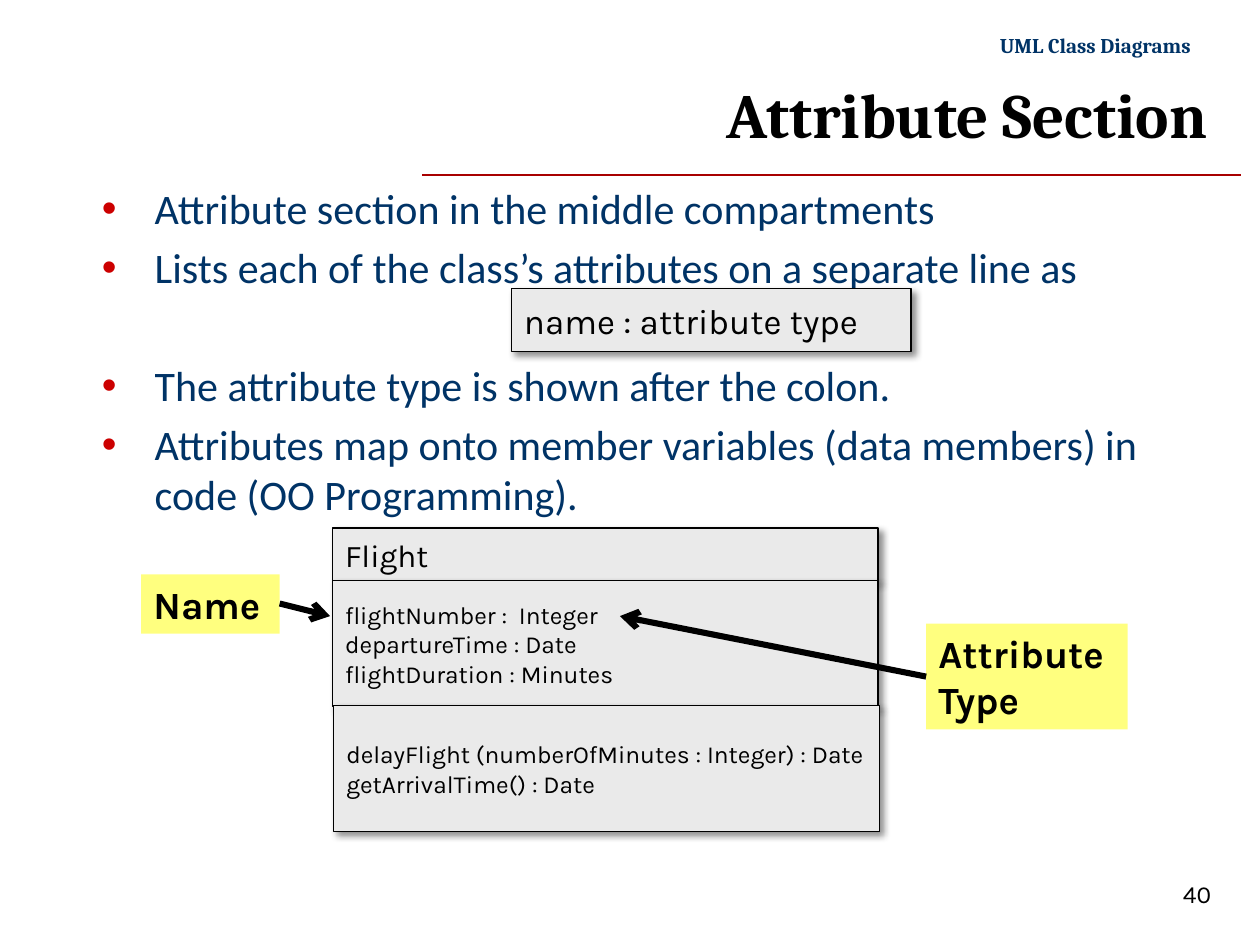
from lxml import etree
from pptx import Presentation, util as u
from pptx.dml.color import RGBColor
from pptx.enum import shapes, text
from pptx.oxml import parse_xml
from pptx.oxml.ns import nsdecls, qn

PX = 9144  # EMU per px, 100 px to the inch
BLACK = RGBColor(0, 0, 0)
NAVY = RGBColor(0x00, 0x33, 0x66)
RED = RGBColor(0xCC, 0x00, 0x00)
RULE_RED = RGBColor(0xA8, 0x00, 0x00)
GREY = RGBColor(0xEA, 0xEA, 0xEA)
YELLOW = RGBColor(0xFF, 0xFF, 0x00)


def px(*lengths):
    return [u.Emu(length * PX) for length in lengths]


def write(shape, lines, font="Karla", size=14, color=BLACK, bold=False,
          align=text.PP_ALIGN.LEFT, anchor=text.MSO_ANCHOR.TOP):
    """Fill a shape with one paragraph per line and return the paragraphs."""
    frame = shape.text_frame
    frame.word_wrap = True
    frame.vertical_anchor = anchor
    paras = []
    for index, line in enumerate(lines):
        para = frame.add_paragraph() if index else frame.paragraphs[0]
        para.alignment = align
        span = para.add_run()
        span.text = line
        span.font.name = font
        span.font.size = u.Pt(size)
        span.font.bold = bold
        span.font.color.rgb = color
        paras.append(para)
    return paras


def add_text(page, box, lines, **style):
    return write(page.shapes.add_textbox(*px(*box)), lines, **style)


def add_line(page, start, end, color=BLACK, width=0.75, arrow=False):
    line = page.shapes.add_connector(shapes.MSO_CONNECTOR.STRAIGHT, *px(*start, *end))
    line.line.color.rgb = color
    line.line.width = u.Pt(width)
    if arrow:
        etree.SubElement(line.line._get_or_add_ln(), qn("a:tailEnd"), type="arrow")
    etree.SubElement(line._element.spPr, qn("a:effectLst"))


def add_rect(page, box, fill):
    rect = page.shapes.add_shape(shapes.MSO_SHAPE.RECTANGLE, *px(*box))
    rect.shadow.inherit = False
    rect.fill.solid()
    rect.fill.fore_color.rgb = fill
    return rect


def add_compartment(page, box, lines, size):
    """Grey outlined box with a soft shadow to the lower right."""
    rect = add_rect(page, box, GREY)
    rect.line.color.rgb = BLACK
    rect.line.width = u.Pt(0.75)
    effects = rect._element.spPr.find(qn("a:effectLst"))
    effects.append(parse_xml(
        f'<a:outerShdw {nsdecls("a")} blurRad="{u.Pt(4)}" dist="{u.Pt(3)}" '
        'dir="2700000" algn="tl" rotWithShape="0">'
        '<a:srgbClr val="000000"><a:alpha val="43000"/></a:srgbClr></a:outerShdw>'))
    write(rect, lines, size=size, anchor=text.MSO_ANCHOR.MIDDLE)


def add_label(page, box, lines):
    """Half-transparent yellow callout."""
    rect = add_rect(page, box, YELLOW)
    rect.line.fill.background()
    color = rect._element.spPr.find(qn("a:solidFill"))[0]
    etree.SubElement(color, qn("a:alpha"), val="50000")
    write(rect, lines, size=22, bold=True)


def add_heading(page, box):
    left, top, width, height = box
    right = left + width
    add_line(page, (335, top + 118), (right, top + 118), RULE_RED)
    add_text(page, (right - 210, top, 180, 30), ["UML Class Diagrams"], font="Cambria",
             size=12, color=NAVY, bold=True, align=text.PP_ALIGN.RIGHT)
    add_text(page, (left, top + 31, width - 17, 75), ["Attribute Section"],
             font="Cambria", size=36, bold=True, align=text.PP_ALIGN.RIGHT,
             anchor=text.MSO_ANCHOR.MIDDLE)


def add_bullets(page, box, lines, gaps):
    paras = add_text(page, box, lines, font="Calibri", size=24, color=NAVY)
    for para, gap in zip(paras, gaps):
        para.space_before = u.Pt(gap)
        props = para._p.get_or_add_pPr()
        props.set("marL", str(42 * PX))
        props.set("indent", str(-42 * PX))
        color = etree.SubElement(props, qn("a:buClr"))
        etree.SubElement(color, qn("a:srgbClr"), val=str(RED))
        etree.SubElement(props, qn("a:buFont"), typeface="Arial")
        etree.SubElement(props, qn("a:buChar"), char="•")


def add_class_diagram(page, box):
    left, top, width, height = box
    add_compartment(page, (left, top, width, 42), ["Flight"], 18)
    add_compartment(page, (left, top + 42, width, 100),
                    ["flightNumber :  Integer", "departureTime : Date",
                     "flightDuration : Minutes"], 14)
    add_compartment(page, (left + 1, top + height - 100, width, 100),
                    ["delayFlight (numberOfMinutes : Integer) : Date",
                     "getArrivalTime() : Date"], 14)
    add_label(page, (left - 152, top + 37, 110, 47), ["Name"])
    add_label(page, (left + 471, top + 76, 160, 84), ["Attribute", "Type"])
    attribute_y = top + 70
    add_line(page, (left - 42, top + 60), (left - 2, attribute_y), width=3.5, arrow=True)
    add_line(page, (left + 471, top + 118), (left + 228, attribute_y), width=3.5, arrow=True)


def main():
    deck = Presentation()
    deck.slide_width, deck.slide_height = px(1000, 750)
    page = deck.slides.add_slide(deck.slide_layouts[6])
    add_heading(page, (201, 21, 784, 118))
    add_text(page, (929, 693, 71, 34), ["40"])
    # The wide gap leaves room for the syntax box between the bullets.
    add_bullets(page, (71, 140, 877, 276), [
        "Attribute section in the middle compartments",
        "Lists each of the class’s attributes on a separate line as",
        "The attribute type is shown after the colon.",
        "Attributes map onto member variables (data members) in code (OO Programming).",
    ], gaps=(0, 4.8, 38.9, 4.8))
    add_class_diagram(page, (264, 419, 433, 241))
    add_compartment(page, (406, 229, 317, 50), ["name : attribute type"], 20)
    deck.save("out.pptx")


if __name__ == "__main__":
    main()
